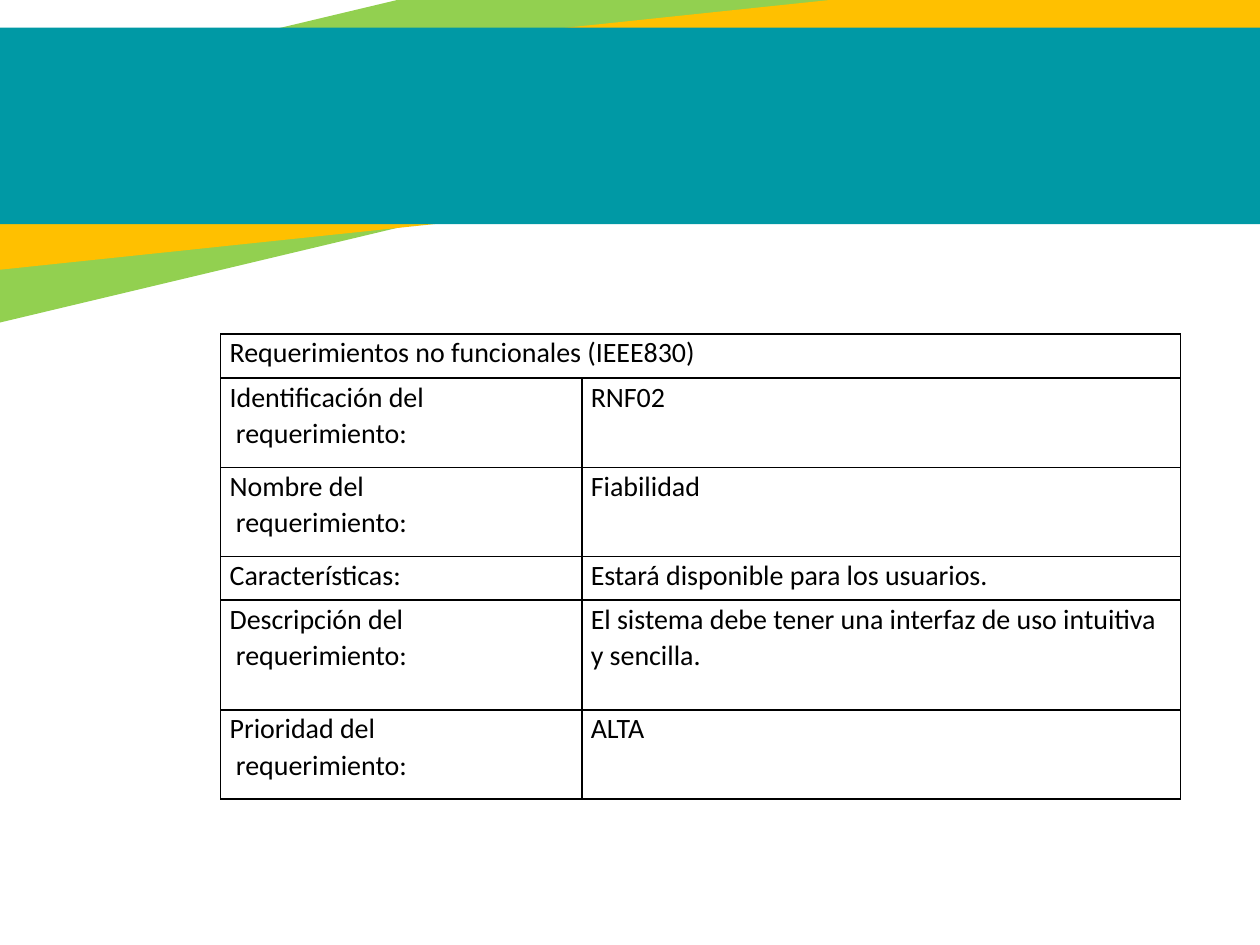
from lxml import etree
from pptx import Presentation
from pptx.dml.color import RGBColor
from pptx.enum.shapes import MSO_SHAPE
from pptx.oxml.ns import qn
from pptx.util import Cm, Pt

RECT = MSO_SHAPE.RECTANGLE
HUES = {"green": "92D050", "amber": "FFC000", "teal": "0099A5", "ink": "000000"}
BANDS = [
    ("green", (-6.38, -0.46, 33.17, 4.47), 346.6),
    ("amber", (-2.79, 0.51, 29.54, 3.66), 354),
    ("teal", (-2.69, 0.56, 29.54, 3.96), 0),
]
COLS = [7.28, 12.07]
ROWS = [
    (0.89, "Requerimientos no funcionales (IEEE830)", ""),
    (1.8, "Identificación del\n requerimiento:", "RNF02"),
    (1.8, "Nombre del\n requerimiento:", "Fiabilidad"),
    (0.88, "Características:", "Estará disponible para los usuarios."),
    (2.21, "Descripción del\n requerimiento:",
     "El sistema debe tener una interfaz de uso intuitiva y sencilla."),
    (1.8, "Prioridad del\n requerimiento:", "ALTA"),
]


def add_band(slide, hue, box, turn):
    """Draw one coloured band of the header."""
    band = slide.shapes.add_shape(RECT, *map(Cm, box))
    band.rotation = turn
    band.shadow.inherit = False
    band.fill.solid()
    band.fill.fore_color.rgb = RGBColor.from_string(HUES[hue])
    band.line.fill.background()


def add_rules(cell):
    """Give a cell thin lines on all four sides."""
    props = cell._tc.get_or_add_tcPr()
    for side in ("lnL", "lnR", "lnT", "lnB"):
        line = etree.SubElement(props, qn(f"a:{side}"), w=str(Pt(1)))
        fill = etree.SubElement(line, qn("a:solidFill"))
        etree.SubElement(fill, qn("a:srgbClr"), val=HUES["ink"])


def fill_cell(cell, text):
    """Write and format the text of a cell."""
    add_rules(cell)
    cell.fill.background()
    cell.margin_left = cell.margin_right = Cm(0.18)
    cell.margin_top = cell.margin_bottom = 0
    cell.text = text
    for para in cell.text_frame.paragraphs:
        para.line_spacing = 1.07
        para.font.name = "Calibri"
        para.font.size = Pt(16)
        para.font.color.rgb = RGBColor.from_string(HUES["ink"])


def add_grid(slide):
    """Build the table of requirements."""
    high = sum(row[0] for row in ROWS)
    frame = slide.shapes.add_table(
        len(ROWS), len(COLS), Cm(4.45), Cm(6.73), Cm(sum(COLS)), Cm(high))
    table = frame.table
    table.first_row = table.horz_banding = False
    for col, width in zip(table.columns, COLS):
        col.width = Cm(width)
    for row, (height, *texts) in zip(table.rows, ROWS):
        row.height = Cm(height)
        for cell, text in zip(row.cells, texts):
            fill_cell(cell, text)
    table.cell(0, 0).merge(table.cell(0, 1))


def main():
    """Build and save the slide."""
    deck = Presentation()
    deck.slide_width, deck.slide_height = Cm(25.4), Cm(19.05)
    slide = deck.slides.add_slide(deck.slide_layouts[6])
    for band in BANDS:
        add_band(slide, *band)
    add_grid(slide)
    deck.save("out.pptx")


if __name__ == "__main__":
    main()
